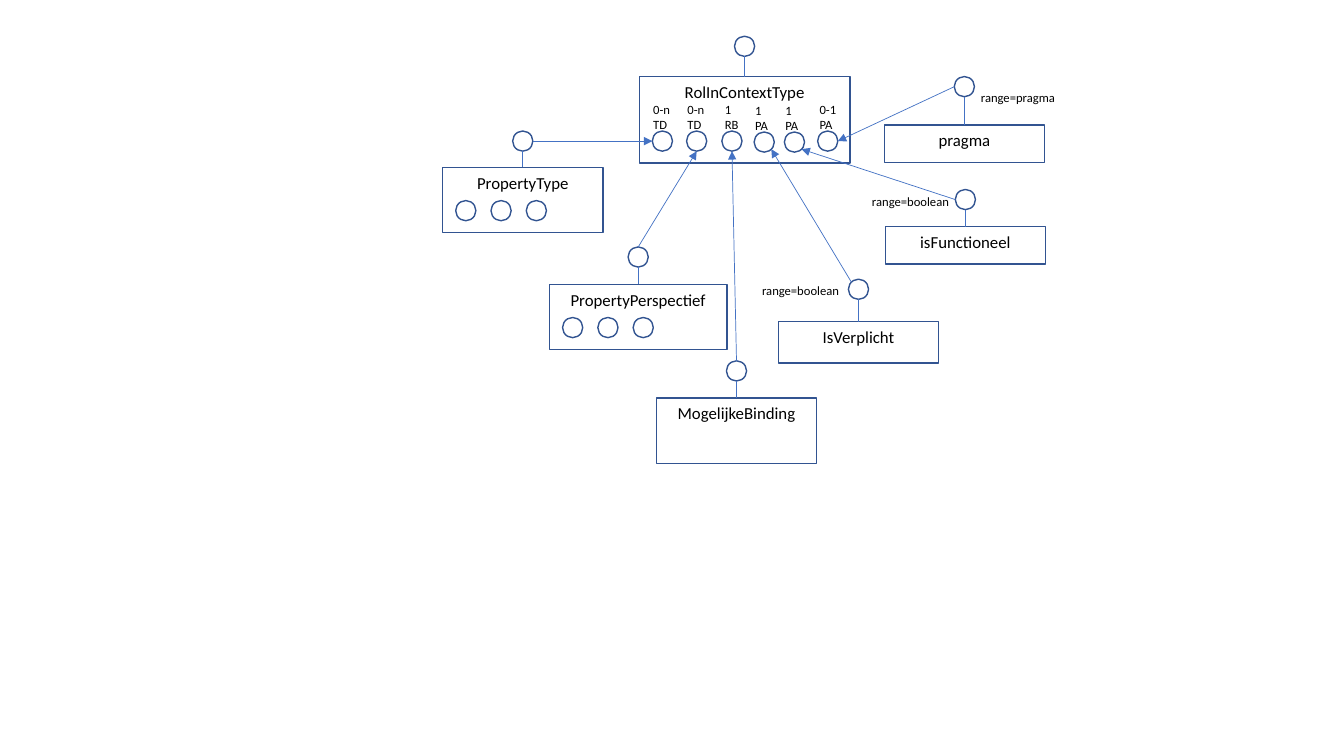
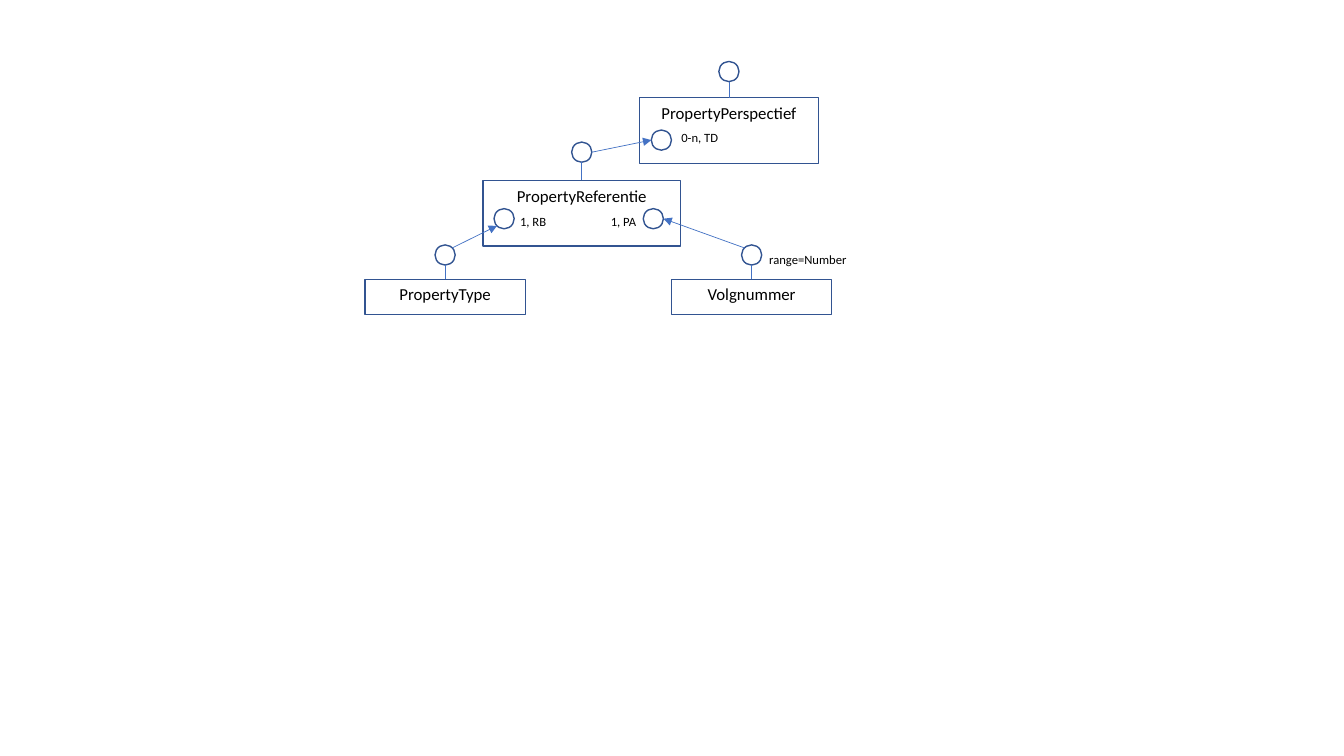
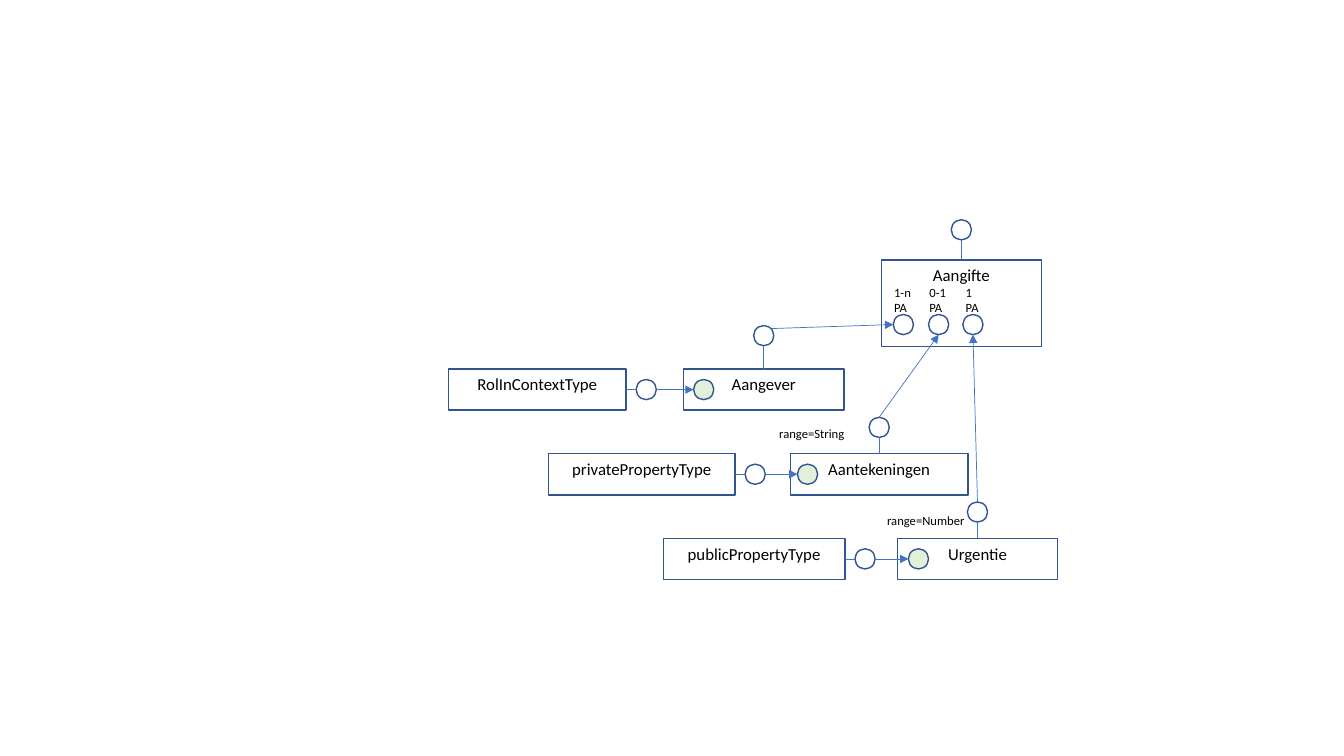
from pptx import Presentation
from pptx.dml.color import RGBColor
from pptx.enum.shapes import MSO_CONNECTOR, MSO_SHAPE
from pptx.enum.text import MSO_ANCHOR, MSO_AUTO_SIZE, PP_ALIGN
from pptx.oxml.ns import qn
from pptx.util import Pt
from lxml import etree

RECT, OVAL = MSO_SHAPE.RECTANGLE, MSO_SHAPE.OVAL
STRAIGHT = MSO_CONNECTOR.STRAIGHT
TOP, CENTER, GROW = MSO_ANCHOR.TOP, PP_ALIGN.CENTER, MSO_AUTO_SIZE.SHAPE_TO_FIT_TEXT
EMU_PER_PX = 9144  # 100 px to the inch

# Points on a circle, as shares of its width and height
SITES = {
    "top": (0.5, 0), "bottom": (0.5, 1), "left": (0, 0.5), "right": (1, 0.5),
    "top left": (0.15, 0.15), "top right": (0.85, 0.15),
    "bottom left": (0.15, 0.85), "bottom right": (0.85, 0.85),
}


def px(n):
    return round(n * EMU_PER_PX)


def color(hex_text):
    return RGBColor.from_string(hex_text)


class Diagram:
    """Style of the type diagrams, and the slide being drawn."""

    FONT, TEXT = "Calibri", "000000"
    OUTLINE, LINK, FILLED = "325491", "4472C4", "E2F0D9"
    CIRCLE = 20

    def __init__(self, prs):
        self.prs = prs
        self.slide = None

    def new_slide(self):
        self.slide = self.prs.slides.add_slide(self.prs.slide_layouts[6])

    def _shape(self, kind, x, y, w, h, fill=None):
        sp = self.slide.shapes.add_shape(kind, px(x), px(y), px(w), px(h))
        sp.shadow.inherit = False
        if fill:
            sp.fill.solid()
            sp.fill.fore_color.rgb = color(fill)
        else:
            sp.fill.background()
        sp.line.color.rgb = color(self.OUTLINE)
        sp.line.width = Pt(1)
        return sp

    def _write(self, tf, text, size, align=None):
        tf.text = text
        for p in tf.paragraphs:
            p.alignment = align
            p.font.name = self.FONT
            p.font.size = Pt(size)
            p.font.color.rgb = color(self.TEXT)

    def _line(self, start, end):
        """Link between two points in EMU."""
        line = self.slide.shapes.add_connector(STRAIGHT, *start, *end)
        line.line.color.rgb = color(self.LINK)
        line.line.width = Pt(0.5)
        etree.SubElement(line._element.spPr, qn("a:effectLst"))
        return line

    def _site(self, sp, name):
        fx, fy = SITES[name]
        return round(sp.left + sp.width * fx), round(sp.top + sp.height * fy)

    def box(self, text, x, y, w, h):
        sp = self._shape(RECT, x, y, w, h)
        sp.text_frame.vertical_anchor = TOP
        self._write(sp.text_frame, text, 12, CENTER)
        return sp

    def circle(self, x, y, fill=None):
        return self._shape(OVAL, x, y, self.CIRCLE, self.CIRCLE, fill)

    def label(self, text, x, y, w, h=25):
        sp = self.slide.shapes.add_textbox(px(x), px(y), px(w), px(h))
        sp.text_frame.word_wrap = False
        sp.text_frame.auto_size = GROW
        self._write(sp.text_frame, text, 9)

    def port(self, x, y, text, label_dx=-9):
        """Circle inside a box, with its two-line cardinality above."""
        narrow = text.index("\n") == 1
        self.label(text, x + label_dx, y - 34, 34 if narrow else 37, 40)
        return self.circle(x, y)

    def head(self, box, gap):
        """Circle on a stem above a box."""
        x, y = (n / EMU_PER_PX for n in self._site(box, "top"))
        circle = self.circle(x - self.CIRCLE / 2, y - gap - self.CIRCLE)
        stem = self._line(self._site(box, "top"), self._site(circle, "bottom"))
        stem.begin_connect(box, 0)
        return circle

    def side_head(self, box, gap=10):
        """Circle on a stem to the right of a box."""
        x, y = (n / EMU_PER_PX for n in self._site(box, "right"))
        circle = self.circle(x + gap, y - self.CIRCLE / 2)
        stem = self._line(self._site(box, "right"), self._site(circle, "left"))
        stem.begin_connect(box, 3)
        return circle

    def arrow(self, source, source_site, target, target_site):
        line = self._line(self._site(source, source_site), self._site(target, target_site))
        etree.SubElement(line.line._get_or_add_ln(), qn("a:tailEnd"), type="triangle")


def role_type_slide(d):
    d.new_slide()
    d.head(d.box("RolInContextType", 634, 76, 209, 86), 20)
    ports = [d.port(*row) for row in (
        (647, 130, "0-n\nTD"), (681, 130, "0-n\nTD"), (716, 130, "1\nRB", -7),
        (748, 131, "1\nPA"), (778, 131, "1\nPA"), (811, 130, "0-1\nPA", -8),
    )]
    # name, box, stem, circles inside, link from, link to
    types = (
        ("PropertyType", (439, 166, 159, 65), 16, 3, "right", "left"),
        ("PropertyPerspectief", (545, 282, 176, 65), 17, 3, "top", "bottom"),
        ("MogelijkeBinding", (651, 395, 159, 65), 17, 0, "top", "bottom"),
        ("IsVerplicht", (772, 319, 159, 41), 22, 0, "top left", "bottom right"),
        ("isFunctioneel", (878, 225, 159, 37), 17, 0, "left", "bottom right"),
        ("pragma", (877, 124, 159, 37), 28, 0, "left", "right"),
    )
    for port, (name, place, stem, inner, start, end) in zip(ports, types):
        head = d.head(d.box(name, *place), stem)
        for i in range(inner):
            d.circle(place[0] + 13 + 35 * i, place[1] + 33)
        d.arrow(head, start, port, end)
    d.label("range=boolean", 746, 276, 98)
    d.label("range=boolean", 855, 187, 98)
    d.label("range=pragma", 963, 84, 95)


def perspective_slide(d):
    d.new_slide()
    d.head(d.box("PropertyPerspectief", 634, 97, 178, 65), 16)
    reference = d.head(d.box("PropertyReferentie", 479, 179, 196, 65), 18)
    property_type = d.head(d.box("PropertyType", 362, 277, 159, 35), 14)
    number = d.head(d.box("Volgnummer", 666, 277, 159, 35), 14)
    d.arrow(reference, "right", d.circle(646, 129), "left")
    d.arrow(property_type, "top right", d.circle(490, 207), "bottom left")
    d.arrow(number, "top left", d.circle(638, 207), "right")
    d.label("0-n, TD", 666, 124, 57)
    d.label("1, RB", 506, 207, 46)
    d.label("1, PA", 596, 207, 46)
    d.label("range=Number", 753, 245, 98)


def report_slide(d):
    d.new_slide()
    d.head(d.box("Aangifte", 874, 258, 159, 86), 20)
    ports = [d.port(*row) for row in (
        (886, 312, "1-n\nPA"), (921, 312, "0-1\nPA"), (955, 312, "1\nPA", -7),
    )]
    # name, box, stem, link from, link to, filler name, its left and width, filled circle
    roles = (
        ("Aangever", (678, 366, 159, 41), 23, "top right", "left",
         "RolInContextType", 445, 176, 688),
        ("Aantekeningen", (784, 450, 176, 41), 16, "top", "bottom",
         "privatePropertyType", 544, 185, 791),
        ("Urgentie", (890, 534, 159, 41), 16, "top", "bottom",
         "publicPropertyType", 658, 180, 901),
    )
    for port, (name, place, stem, start, end, filler, x, w, slot_x) in zip(ports, roles):
        y, h = place[1], place[3]
        d.arrow(d.head(d.box(name, *place), stem), start, port, end)
        slot = d.circle(slot_x, y + (h - d.CIRCLE) / 2, d.FILLED)
        d.arrow(d.side_head(d.box(filler, x, y, w, h)), "right", slot, "left")
    d.label("range=String", 763, 418, 86)
    d.label("range=Number", 870, 504, 98)


def main():
    prs = Presentation()
    prs.slide_width, prs.slide_height = px(1333), px(750)
    d = Diagram(prs)
    role_type_slide(d)
    perspective_slide(d)
    report_slide(d)
    prs.save("out.pptx")


if __name__ == "__main__":
    main()
